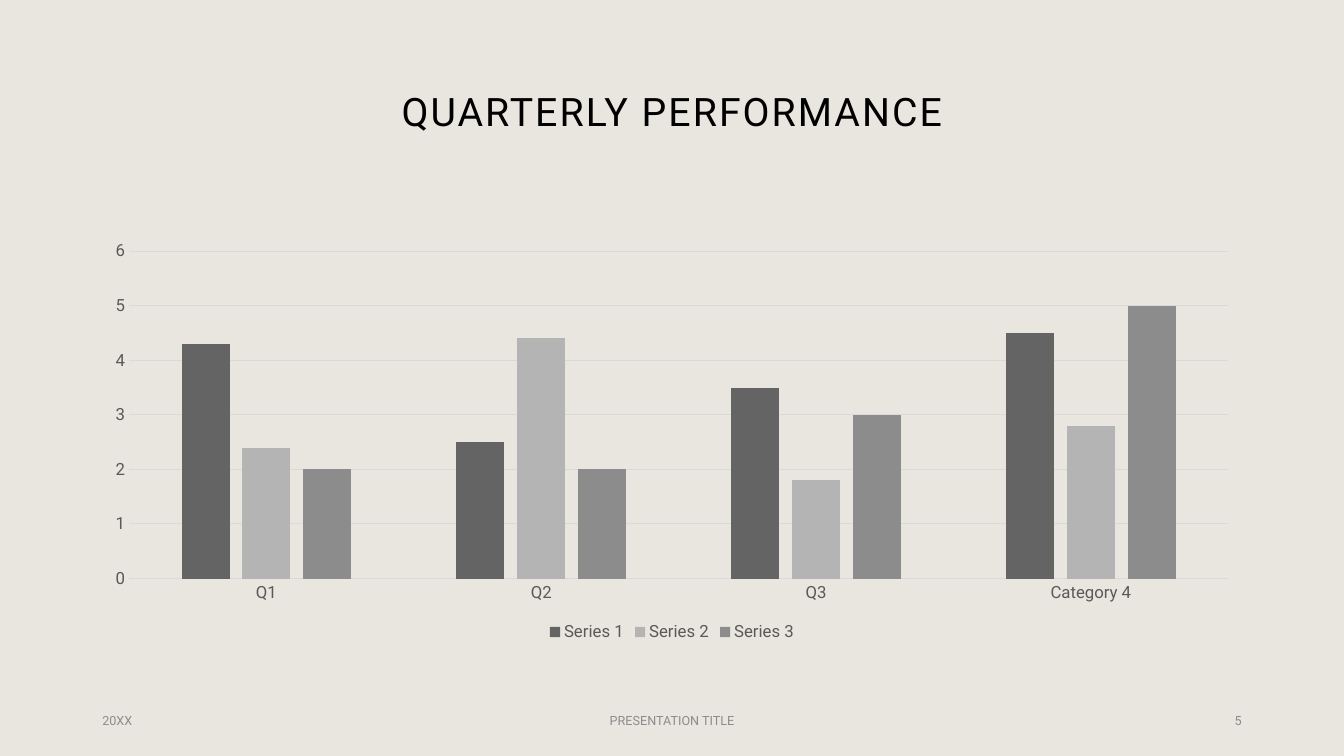
import pptx
import pptx.chart.data
import pptx.dml.color
import pptx.enum.chart
import pptx.enum.text
import pptx.util

Cm = pptx.util.Cm
Pt = pptx.util.Pt
Align = pptx.enum.text.PP_ALIGN
Anchor = pptx.enum.text.MSO_ANCHOR
Tick = pptx.enum.chart.XL_TICK_MARK

COLORS = {
    "background": "E9E6DF",
    "title": "000000",
    "label": "595959",
    "grid": "D9D9D9",
    "dark": "646464",
    "light": "B4B4B4",
    "middle": "8C8C8C",
}
WIDTH, HEIGHT = 33.87, 19.05
CONTENT_WIDTH = 29.21
MARGIN = (WIDTH - CONTENT_WIDTH) / 2


def apply(target, values):
    for name, value in values.items():
        setattr(target, name, value)


def rgb(color):
    return pptx.dml.color.RGBColor.from_string(COLORS[color])


class SlideBuilder:
    font_name = "Roboto"

    def __init__(self, presentation):
        self.slide = presentation.slides.add_slide(presentation.slide_layouts[5])
        self.paint(self.slide.background.fill, "background")

    def paint(self, fill, color):
        fill.solid()
        fill.fore_color.rgb = rgb(color)

    def style_font(self, font, size, color):
        apply(font, {"name": self.font_name, "size": Pt(size), "bold": False})
        font.color.rgb = rgb(color)

    def style_line(self, line, color):
        line.width = Pt(0.75)
        self.paint(line.fill, color)

    def place(self, shape, left, top, width, height):
        box = {"left": left, "top": top, "width": width, "height": height}
        apply(shape, {name: Cm(value) for name, value in box.items()})

    def set_text(self, shape, text, size, color, alignment):
        frame = shape.text_frame
        apply(frame, {
            "text": text,
            "word_wrap": True,
            "auto_size": pptx.enum.text.MSO_AUTO_SIZE.NONE,
            "vertical_anchor": Anchor.MIDDLE,
        })
        paragraph = frame.paragraphs[0]
        paragraph.alignment = alignment
        self.style_font(paragraph.runs[0].font, size, color)
        return paragraph

    def title(self, text):
        shape = self.slide.shapes.title
        self.place(shape, MARGIN, 1.02, CONTENT_WIDTH, 3.68)
        paragraph = self.set_text(shape, text, 28, "title", Align.CENTER)
        paragraph.line_spacing = 0.9
        paragraph.runs[0]._r.get_or_add_rPr().set("spc", "150")

    def footer(self, text, left, width, alignment):
        shape = self.slide.shapes.add_textbox(Cm(left), Cm(17.65), Cm(width), Cm(1.02))
        self.set_text(shape, text, 9, "middle", alignment)

    def column_chart(self, categories, series_values, series_colors):
        data = pptx.chart.data.CategoryChartData()
        data.categories = categories
        for name, values in series_values.items():
            data.add_series(name, values)
        chart = self.slide.shapes.add_chart(
            pptx.enum.chart.XL_CHART_TYPE.COLUMN_CLUSTERED,
            Cm(MARGIN), Cm(5.87), Cm(CONTENT_WIDTH), Cm(10.41), data,
        ).chart
        apply(chart, {"has_title": False, "has_legend": True})
        self.style_font(chart.font, 10, "title")

        plot = chart.plots[0]
        apply(plot, {"gap_width": 219, "overlap": -27, "vary_by_categories": False})
        for series, color in zip(plot.series, series_colors):
            self.paint(series.format.fill, color)
            series.format.line.fill.background()
            series.invert_if_negative = False

        for axis in (chart.category_axis, chart.value_axis):
            apply(axis, {"major_tick_mark": Tick.NONE, "minor_tick_mark": Tick.NONE})
            self.style_font(axis.tick_labels.font, 12, "label")
        self.style_line(chart.category_axis.format.line, "grid")
        value_axis = chart.value_axis
        apply(value_axis, {"minimum_scale": 0, "maximum_scale": 6, "major_unit": 1})
        value_axis.format.line.fill.background()
        self.style_line(value_axis.major_gridlines.format.line, "grid")

        apply(chart.legend, {
            "position": pptx.enum.chart.XL_LEGEND_POSITION.BOTTOM,
            "include_in_layout": False,
        })
        self.style_font(chart.legend.font, 12, "label")


def main():
    presentation = pptx.Presentation()
    apply(presentation, {"slide_width": Cm(WIDTH), "slide_height": Cm(HEIGHT)})
    builder = SlideBuilder(presentation)
    builder.title("QUARTERLY PERFORMANCE")
    builder.column_chart(
        ["Q1", "Q2", "Q3", "Category 4"],
        {
            "Series 1": [4.3, 2.5, 3.5, 4.5],
            "Series 2": [2.4, 4.4, 1.8, 2.8],
            "Series 3": [2, 2, 3, 5],
        },
        ["dark", "light", "middle"],
    )
    side, center = 7.62, 11.43
    builder.footer("20XX", MARGIN, side, Align.LEFT)
    builder.footer("PRESENTATION TITLE", (WIDTH - center) / 2, center, Align.CENTER)
    builder.footer("5", WIDTH - MARGIN - side, side, Align.RIGHT)
    presentation.save("out.pptx")


if __name__ == "__main__":
    main()
